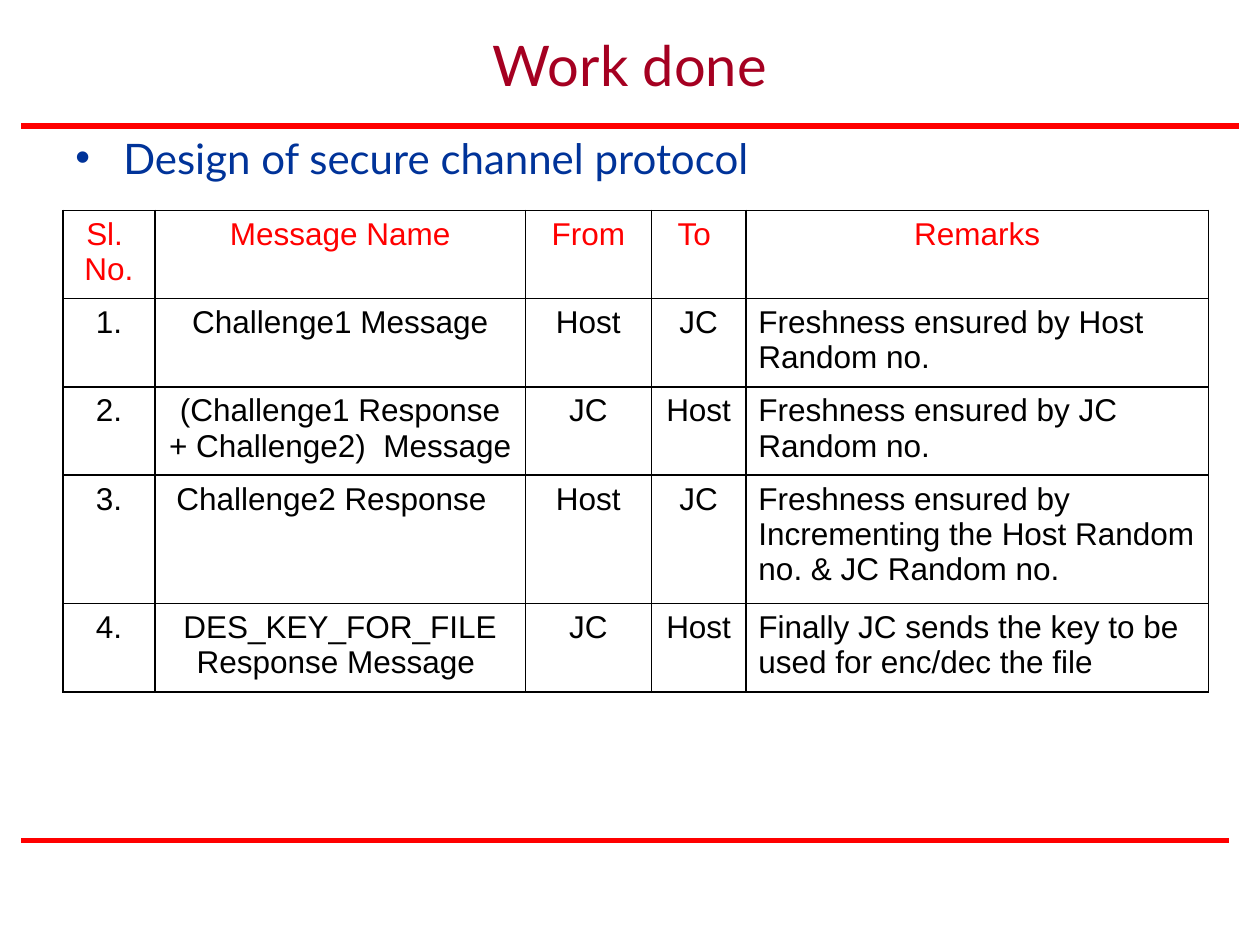
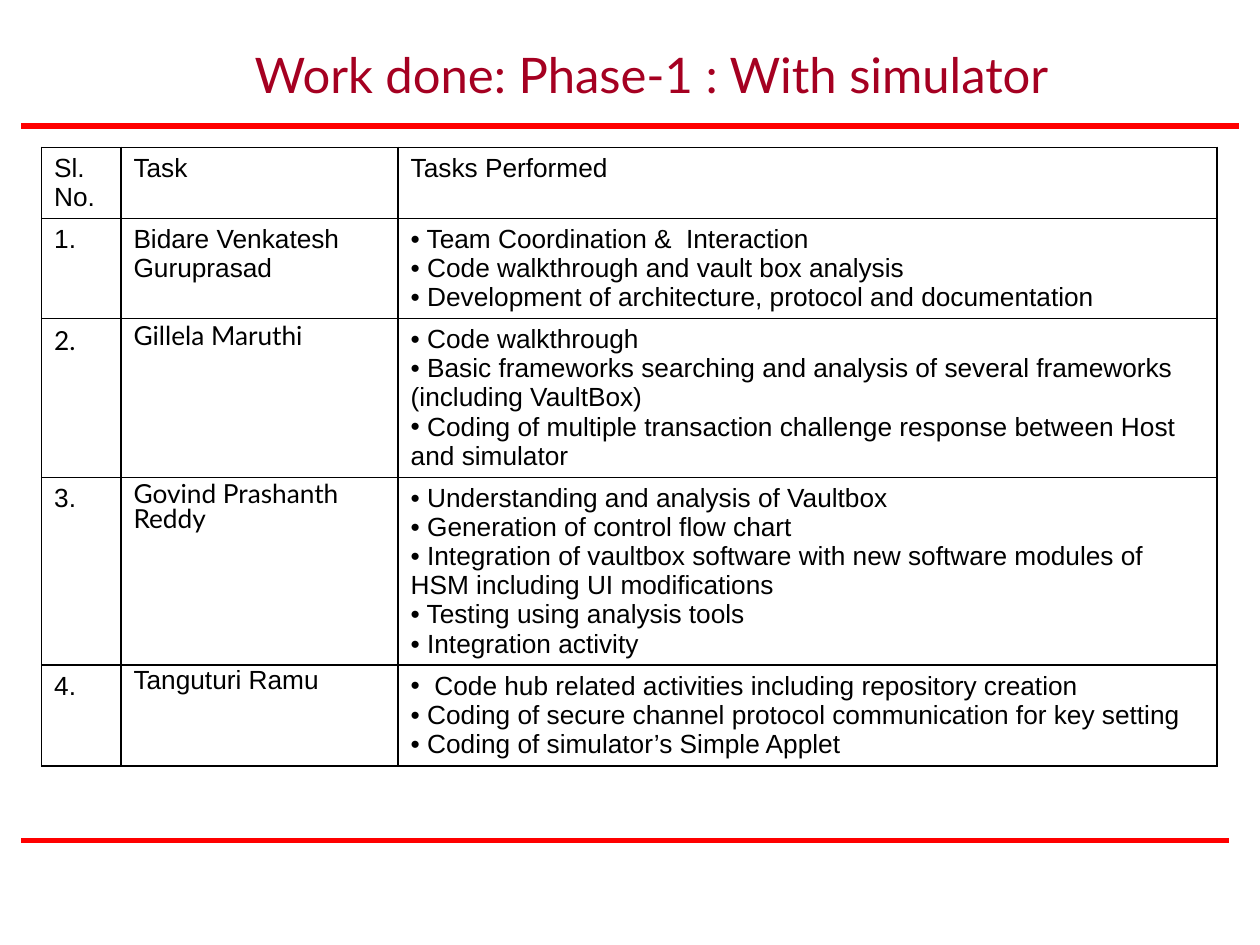
from lxml.etree import SubElement
from pptx import Presentation
from pptx.dml.color import RGBColor
from pptx.enum.text import MSO_ANCHOR, PP_ALIGN
from pptx.oxml.ns import qn
from pptx.util import Inches, Pt

# Content
PROTOCOL_TITLE = "Work done"
PROTOCOL_POINT = "Design of secure channel protocol"
MESSAGES = [
    (["Sl. ", "No."], "Message Name", "From", "To ", "Remarks"),
    ("1.", "Challenge1 Message", "Host", "JC", "Freshness ensured by Host Random no."),
    ("2.", "(Challenge1 Response + Challenge2)  Message", "JC", "Host",
     "Freshness ensured by JC Random no."),
    ("3.", "Challenge2 Response  ", "Host", "JC",
     ["Freshness ensured by", "Incrementing the Host Random no. & JC Random no."]),
    ("4.", "DES_KEY_FOR_FILE Response Message ", "JC", "Host",
     "Finally JC sends the key to be used for enc/dec the file"),
]

PHASE_TITLE = "Work done: Phase-1 : With simulator"
TASKS = [
    ("Sl. No.", "Task", "Tasks Performed"),
    ("1.", "Bidare Venkatesh Guruprasad", [
        "Team Coordination &  Interaction",
        "Code walkthrough and vault box analysis",
        "Development of architecture, protocol and documentation"]),
    ("2.", "Gillela Maruthi", [
        "Code walkthrough",
        "Basic frameworks searching and analysis of several frameworks (including VaultBox)",
        "Coding of multiple transaction challenge response between Host and simulator"]),
    ("3.", "Govind Prashanth Reddy", [
        "Understanding and analysis of Vaultbox",
        "Generation of control flow chart",
        "Integration of vaultbox software with new software modules of HSM including UI modifications",
        "Testing using analysis tools",
        "Integration activity"]),
    ("4.", "Tanguturi Ramu", [
        " Code hub related activities including repository creation",
        "Coding of secure channel protocol communication for key setting",
        "Coding of simulator’s Simple Applet"]),
]
LATO_CELLS = {(2, 0), (2, 1), (3, 1)}

# Shared style
COLORS = {"title": "A50021", "point": "003399", "rule": "FF0000",
          "header": "FF0000", "text": "000000"}
HEADING_FONT, TABLE_FONT = "Lato", "Arial"
RULES = [(0.17, 9.75, 6.67), (0.17, 9.83, 1)]  # left, right, height on page


def color(name):
    return RGBColor.from_string(COLORS[name])


def style(para, font, size, tint, align=PP_ALIGN.LEFT):
    para.alignment = align
    para.font.name, para.font.size = font, Pt(size)
    para.font.color.rgb = color(tint)


def add_bullet(para, tint, hanging=0):
    props = para._p.get_or_add_pPr()
    props.set("marL", str(Inches(hanging)))
    props.set("indent", str(-Inches(hanging)))
    bullet_color = SubElement(props, qn("a:buClr"))
    SubElement(bullet_color, qn("a:srgbClr"), val=COLORS[tint])
    SubElement(props, qn("a:buFont"), typeface="Arial")
    SubElement(props, qn("a:buChar"), char="•")


def add_page(deck, title, size, left, top):
    page = deck.slides.add_slide(deck.slide_layouts[5])
    for start, end, height in RULES:
        rule = page.shapes.add_connector(
            1, Inches(start), Inches(height), Inches(end), Inches(height))
        rule.line.color.rgb = color("rule")
        rule.line.width = Pt(3)
        SubElement(rule._element.spPr, qn("a:effectLst"))
    box = page.shapes.title
    box.left, box.top, box.width, box.height = map(Inches, (left, top, 8.5, 0.67))
    box.text_frame.text = title
    box.text_frame.vertical_anchor = MSO_ANCHOR.MIDDLE
    style(box.text_frame.paragraphs[0], HEADING_FONT, size, "title", PP_ALIGN.CENTER)
    return page


def add_borders(cell):
    props = cell._tc.get_or_add_tcPr()
    for side in ("lnL", "lnR", "lnT", "lnB"):
        line = SubElement(props, qn(f"a:{side}"), w=str(Pt(1)))
        fill = SubElement(line, qn("a:solidFill"))
        SubElement(fill, qn("a:srgbClr"), val=COLORS["text"])


def add_grid(page, rows, left, top, widths, heights, format_para):
    """Fill a bordered table; a list in a cell gives one paragraph per item."""
    frame = page.shapes.add_table(len(rows), len(widths), Inches(left), Inches(top),
                                  Inches(sum(widths)), Inches(sum(heights)))
    table = frame.table
    table.first_row = table.horz_banding = False
    for column, width in zip(table.columns, widths):
        column.width = Inches(width)
    for r, (row, height) in enumerate(zip(rows, heights)):
        table.rows[r].height = Inches(height)
        for c, content in enumerate(row):
            cell = table.cell(r, c)
            add_borders(cell)
            cell.fill.background()
            lines = [content] if isinstance(content, str) else content
            cell.text_frame.text = "\n".join(lines)
            for para in cell.text_frame.paragraphs:
                format_para(para, r, c)


def format_message(para, row, column):
    is_remark = row > 0 and column == 4
    style(para, TABLE_FONT, 18, "text" if row else "header",
          PP_ALIGN.LEFT if is_remark else PP_ALIGN.CENTER)


def format_task(para, row, column):
    style(para, HEADING_FONT if (row, column) in LATO_CELLS else TABLE_FONT, 15, "text")
    if row > 1 and column == 1:
        para.line_spacing, para.space_before = 0.8, Pt(3)
    if row and column == 2:
        para.runs[0].text = " " + para.text
        add_bullet(para, "text")


def main():
    deck = Presentation()
    deck.slide_width, deck.slide_height = Inches(10), Inches(7.5)

    # Protocol messages
    page = add_page(deck, PROTOCOL_TITLE, 32, 0.75, 0.17)
    box = page.shapes.add_textbox(Inches(0.5), Inches(1), Inches(8.92), Inches(0.6))
    box.text_frame.word_wrap = True
    box.text_frame.text = PROTOCOL_POINT
    point = box.text_frame.paragraphs[0]
    style(point, HEADING_FONT, 24, "point")
    point.space_before = Pt(4.8)
    add_bullet(point, "point", 0.38)
    add_grid(page, MESSAGES, 0.5, 1.67, [0.73, 2.94, 1, 0.75, 3.67],
             [0.66, 0.66, 0.66, 1.02, 0.66], format_message)

    # Tasks of the first phase
    page = add_page(deck, PHASE_TITLE, 28, 0.92, 0.25)
    add_grid(page, TASKS, 0.33, 1.17, [0.63, 2.2, 6.5],
             [0.56, 0.79, 1.26, 1.49, 0.8], format_task)

    deck.save("out.pptx")


if __name__ == "__main__":
    main()
